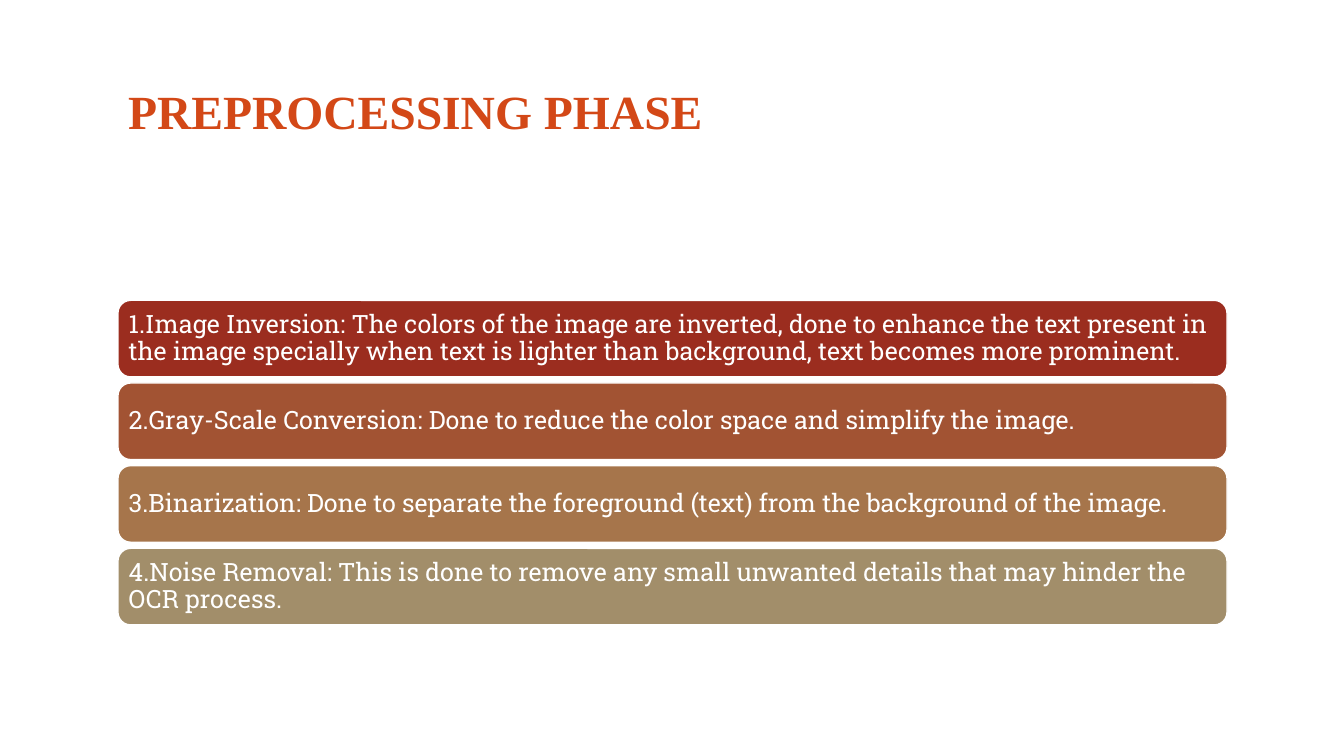
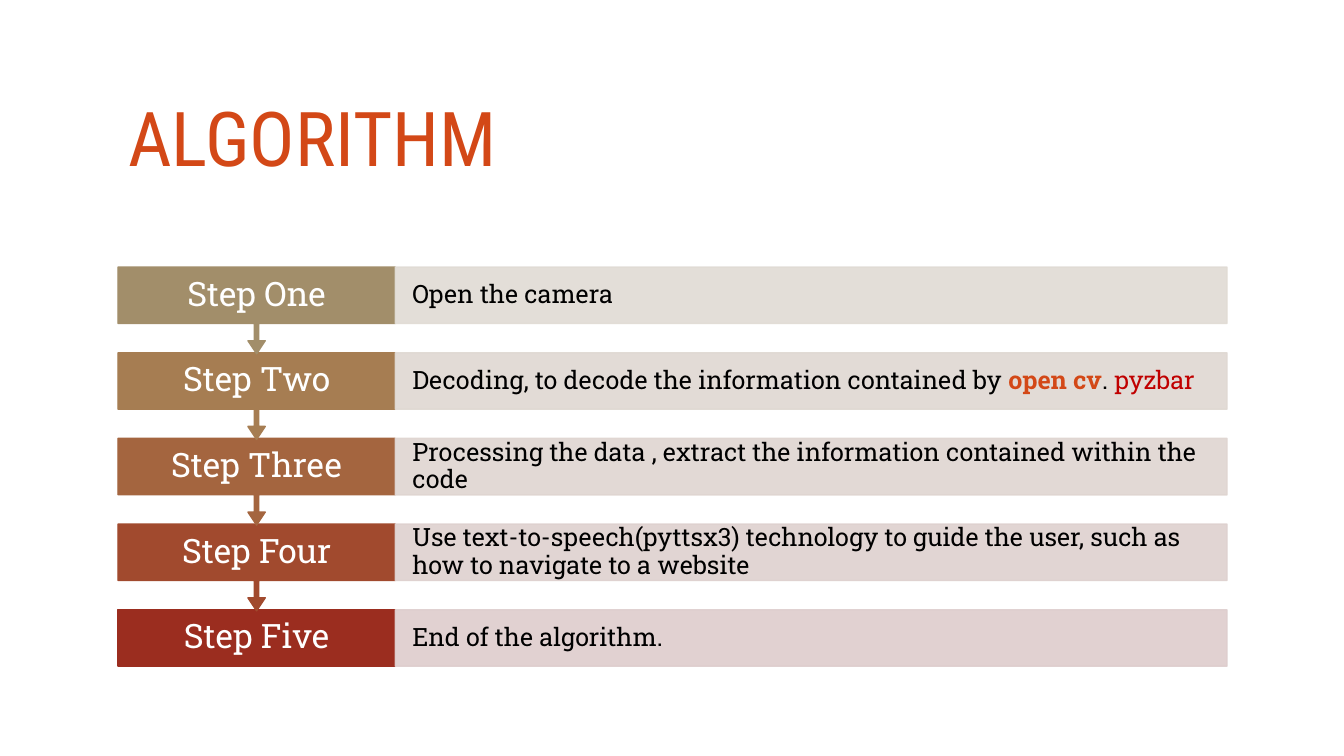
from pptx import Presentation
from pptx.dml.color import RGBColor
from pptx.enum.shapes import MSO_SHAPE as Shape
from pptx.enum.text import MSO_ANCHOR as Anchor, MSO_AUTO_SIZE as Fit, PP_ALIGN as Align
from pptx.oxml import parse_xml
from pptx.oxml.ns import nsdecls, qn
from pptx.util import Inches, Pt

LEFT, WIDTH = 1.17, 11
ORANGE, WHITE, BLACK = "D34817", "FFFFFF", "000000"
SLAB = "Roboto Slab"


def rgb(code):
    return RGBColor.from_string(code)


def write(shape, runs, size, font=SLAB, align=Align.LEFT, side=0.1, foot=0):
    """Fill a shape with one paragraph of (text, colour, bold) runs."""
    frame = shape.text_frame
    looks = {"word_wrap": True, "auto_size": Fit.NONE, "vertical_anchor": Anchor.MIDDLE,
             "margin_left": Inches(side), "margin_right": Inches(side),
             "margin_top": 0, "margin_bottom": Inches(foot)}
    for name, value in looks.items():
        setattr(frame, name, value)
    para = frame.paragraphs[0]
    para.alignment, para.line_spacing = align, 0.9
    for text, color, bold in runs:
        run = para.add_run()
        run.text = text
        for name, value in {"name": font, "size": Pt(size), "bold": bold}.items():
            setattr(run.font, name, value)
        run.font.color.rgb = rgb(color)


deck = Presentation()
deck.slide_width, deck.slide_height = Inches(13.33), Inches(7.5)

# Slides and titles
layout = deck.slide_layouts.get_by_name("Title Only")
heads = [("PREPROCESSING PHASE", "Times New Roman", 34, True, 0.56),
         ("ALGORITHM", "Roboto Condensed", 54, False, 0)]
for text, font, size, bold, foot in heads:
    title = deck.slides.add_slide(layout).shapes.title
    title.left, title.top = Inches(LEFT), Inches(0.53)
    title.width, title.height = Inches(WIDTH), Inches(1.76)
    write(title, [(text, ORANGE, bold)], size, font, foot=foot)
phase, steps = [slide.shapes for slide in deck.slides]

# Preprocessing phase: stacked bars
bars = [
    ("9B2D1F", "1.Image Inversion: The colors of the image are inverted, done to enhance "
     "the text present in the image specially when text is lighter than background, "
     "text becomes more prominent."),
    ("A25333", "2.Gray-Scale Conversion: Done to reduce the color space and simplify the image."),
    ("A6754B", "3.Binarization: Done to separate the foreground (text) from the background "
     "of the image."),
    ("A28E6A", "4.Noise Removal: This is done to remove any small unwanted details that may "
     "hinder the OCR process."),
]
for i, (color, text) in enumerate(bars):
    bar = phase.add_shape(Shape.ROUNDED_RECTANGLE, Inches(LEFT), Inches(2.98 + 0.82 * i),
                          Inches(WIDTH), Inches(0.76))
    bar.shadow.inherit = False
    bar.fill.solid()
    bar.fill.fore_color.rgb = rgb(color)
    bar.line.color.rgb, bar.line.width = rgb(WHITE), Pt(1)
    write(bar, [(text, WHITE, False)], 18, side=0.07)

# Algorithm: labels with arrows, each beside a pale band
rows = [
    ("Step One", "A28E6A", "E0DBD4", [("Open the camera", BLACK, False)]),
    ("Step Two", "A67D52", "DFD8D2",
     [("Decoding, to decode the information contained by ", BLACK, False),
      ("open cv", ORANGE, True), (". ", BLACK, False), ("pyzbar", "C00000", False)]),
    ("Step Three", "A4653F", "DFD5D1",
     [("Processing the data , extract the information contained within the code",
       BLACK, False)]),
    ("Step Four", "A14A2E", "DED1CF",
     [("Use text-to-speech(pyttsx3) technology to guide the user, such as how to "
       "navigate to a website", BLACK, False)]),
    ("Step Five", "9B2D1F", "DECDCD", [("End of the algorithm.", BLACK, False)]),
]
high, tall, label = 0.56, 0.86, WIDTH / 4
last = len(rows) - 1
for i, (name, dark, pale, runs) in reversed(list(enumerate(rows))):
    top = Inches(2.65 + 0.85 * i)
    kind, size = (Shape.RECTANGLE, high) if i == last else (Shape.DOWN_ARROW_CALLOUT, tall)
    step = steps.add_shape(kind, Inches(LEFT), top, Inches(label), Inches(size))
    if i < last:
        for j, value in enumerate([0.05, 0.1, 0.15, 0.65]):
            step.adjustments[j] = value
    band = steps.add_shape(Shape.RECTANGLE, Inches(LEFT + label), top,
                           Inches(WIDTH - label), Inches(high))
    for box, color in [(step, dark), (band, pale)]:
        box.shadow.inherit = False
        box.fill.solid()
        box.fill.fore_color.rgb = box.line.color.rgb = rgb(color)
        box.line.width = Pt(1)
    for tint in band.element.spPr.iter(qn("a:srgbClr")):
        tint.append(parse_xml(f'<a:alpha {nsdecls("a")} val="90000"/>'))
    write(step, [(name, WHITE, False)], 24, align=Align.CENTER, side=0.2)
    write(band, runs, 18, side=0.17)

deck.save("out.pptx")
